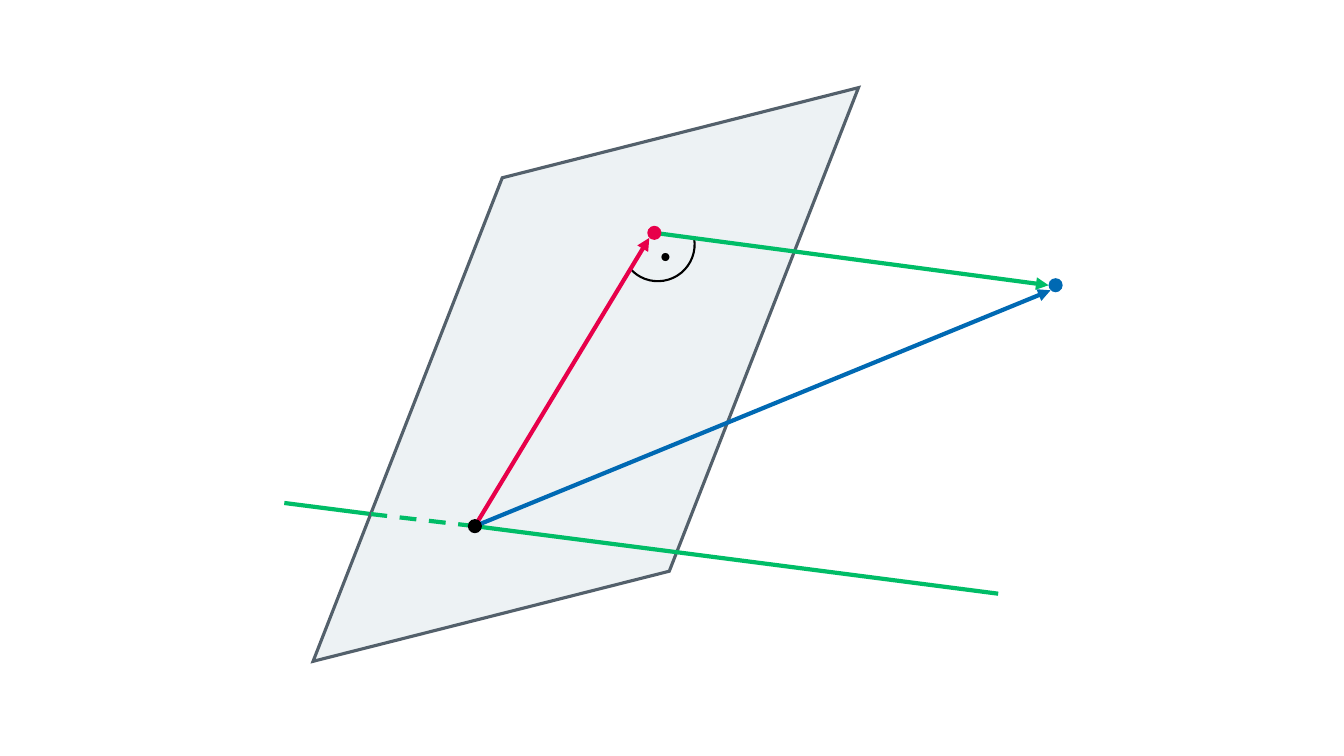
import pptx
import pptx.util
import pptx.dml.color
import pptx.enum.dml
import pptx.enum.shapes
import pptx.oxml.ns
import lxml.etree

Inches = pptx.util.Inches
RGBColor = pptx.dml.color.RGBColor
SHAPE = pptx.enum.shapes.MSO_SHAPE
qn = pptx.oxml.ns.qn

GREEN = RGBColor(0x00, 0xBD, 0x67)
RED = RGBColor(0xE7, 0x00, 0x4A)
BLUE = RGBColor(0x00, 0x69, 0xB3)
BLACK = RGBColor(0x00, 0x00, 0x00)
PLANE_FILL = RGBColor(0xDC, 0xE6, 0xEB)
PLANE_EDGE = RGBColor(0x53, 0x60, 0x6B)

FOOT = (4.71, 5.22)
PROJECTION = (6.49, 2.31)
POINT = (10.47, 2.83)
PIERCE = (3.68, 5.1)


class Diagram:
    """Draws the parts of a vector diagram on one slide."""

    line_width = 3

    def __init__(self, slide):
        self.s = slide

    def line(self, start, end, color, arrow=False, dash=False):
        c = self.s.shapes.add_connector(
            pptx.enum.shapes.MSO_CONNECTOR.STRAIGHT,
            *(Inches(v) for v in start + end))
        c.line.color.rgb = color
        c.line.width = pptx.util.Pt(self.line_width)
        if dash:
            c.line.dash_style = pptx.enum.dml.MSO_LINE.DASH
        if arrow:
            ln = c.line._get_or_add_ln()
            lxml.etree.SubElement(ln, qn("a:tailEnd"), type="triangle")
        lxml.etree.SubElement(c._element.spPr, qn("a:effectLst"))

    def shape(self, kind, box, fill=None, edge=None, width=0, rotation=0, adj=()):
        sp = self.s.shapes.add_shape(kind, *(Inches(v) for v in box))
        sp.shadow.inherit = False
        sp.rotation = rotation
        for i, value in enumerate(adj):
            sp.adjustments[i] = value
        if fill is None:
            sp.fill.background()
        else:
            sp.fill.solid()
            sp.fill.fore_color.rgb = fill
        if edge is None:
            sp.line.fill.background()
        else:
            sp.line.color.rgb = edge
            sp.line.width = pptx.util.Pt(width)
        return sp

    def dot(self, center, color, size=0.14):
        x, y = center
        self.shape(SHAPE.OVAL, (x - size / 2, y - size / 2, size, size), color)

    def plane(self, box, rotation, slant):
        sp = self.shape(SHAPE.PARALLELOGRAM, box, PLANE_FILL, PLANE_EDGE, 2.25,
                        rotation, [slant])
        clr = sp._element.spPr.find(qn("a:solidFill"))[0]
        lxml.etree.SubElement(clr, qn("a:alpha"), val="50000")
        ln = sp.line._get_or_add_ln()
        lxml.etree.SubElement(ln, qn("a:miter"), lim="800000")

    def right_angle(self, box, rotation, angles):
        self.shape(SHAPE.ARC, box, None, BLACK, 1.5, rotation, angles)


def main():
    prs = pptx.Presentation()
    prs.slide_width = Inches(13.33)
    prs.slide_height = Inches(7.5)
    d = Diagram(prs.slides.add_slide(prs.slide_layouts[6]))

    d.line(PIERCE, (2.82, 4.99), GREEN)
    d.plane((2.49, 1.62, 6.64, 4.19), 345.8, 0.715)
    d.line(FOOT, PIERCE, GREEN, dash=True)
    d.line((9.9, 5.89), FOOT, GREEN)
    d.right_angle((6.16, 2.06, 0.73, 0.73), 350.7, (215.69, 88.4))
    d.line(FOOT, (6.44, 2.36), RED, arrow=True)
    d.line(FOOT, (10.42, 2.88), BLUE, arrow=True)
    d.dot(FOOT, BLACK)
    d.line(PROJECTION, (10.4, 2.83), GREEN, arrow=True)
    d.dot(PROJECTION, RED)
    d.dot(POINT, BLUE)
    d.dot((6.6, 2.55), BLACK, 0.08)

    prs.save("out.pptx")


if __name__ == "__main__":
    main()
